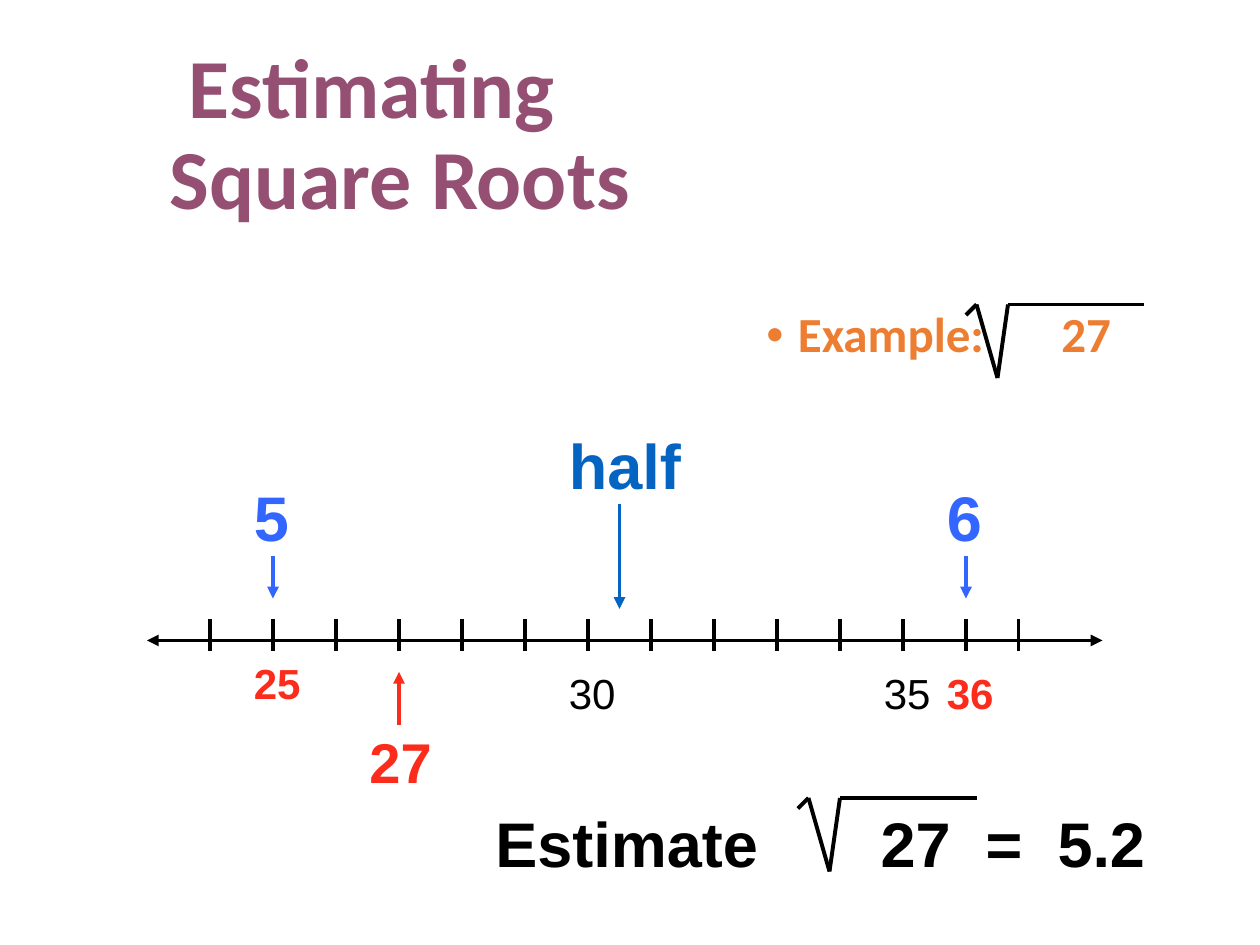
from pptx import Presentation
from pptx.dml.color import RGBColor
from pptx.enum.shapes import MSO_CONNECTOR
from pptx.enum.text import MSO_ANCHOR, MSO_AUTO_SIZE, PP_ALIGN
from pptx.oxml.ns import qn
from pptx.util import Pt
from lxml.etree import SubElement

BLACK = RGBColor(0x00, 0x00, 0x00)
RED = RGBColor(0xFC, 0x2C, 0x1C)
BLUE = RGBColor(0x33, 0x66, 0xFF)
DARK_BLUE = RGBColor(0x05, 0x63, 0xC1)
PLUM = RGBColor(0x95, 0x4F, 0x72)
ORANGE = RGBColor(0xED, 0x7D, 0x31)


class SlideBuilder:
    heading_font = "Calibri"
    label_font = "Arial"
    line_width = Pt(2.25)

    def __init__(self, slide):
        self.s = slide

    def line(self, x1, y1, x2, y2, color=BLACK, ends=()):
        sp = self.s.shapes.add_connector(
            MSO_CONNECTOR.STRAIGHT, Pt(x1), Pt(y1), Pt(x2), Pt(y2))
        sp.line.color.rgb = color
        sp.line.width = self.line_width
        ln = sp.line._get_or_add_ln()
        for end in ends:
            SubElement(ln, qn(f"a:{end}"), type="triangle")
        SubElement(sp._element.spPr, qn("a:effectLst"))

    def arrow(self, x, y1, y2, color):
        self.line(x, y1, x, y2, color, ["tailEnd"])

    def root(self, x, y):
        points = [(x, y + 6), (x + 6, y), (x + 18, y + 42),
                  (x + 24, y), (x + 102, y)]
        for start, end in zip(points, points[1:]):
            self.line(*start, *end)

    def box(self, x, y, w, h, text, size, color, font, bold=True):
        sp = self.s.shapes.add_textbox(Pt(x), Pt(y), Pt(w), Pt(h))
        tf = sp.text_frame
        tf.text = text
        for r in tf.paragraphs[0].runs:
            r.font.size = Pt(size)
            r.font.name = font
            r.font.bold = bold
            r.font.color.rgb = color
        return tf

    def heading(self, x, y, w, h, text, size, color):
        tf = self.box(x, y, w, h, text, size, color, self.heading_font)
        tf.word_wrap = True
        tf.paragraphs[0].line_spacing = 0.9
        return tf

    def label(self, x, y, w, h, text, size, color, bold=True):
        tf = self.box(x, y, w, h, text, size, color, self.label_font, bold)
        tf.word_wrap = False
        tf.auto_size = MSO_AUTO_SIZE.SHAPE_TO_FIT_TEXT
        return tf

    def bullet(self, p):
        p.alignment = PP_ALIGN.RIGHT
        p.space_before = Pt(10)
        pPr = p._p.get_or_add_pPr()
        pPr.set("marL", str(Pt(18)))
        pPr.set("indent", str(-Pt(18)))
        SubElement(pPr, qn("a:buFont"), typeface="Arial")
        SubElement(pPr, qn("a:buChar"), char="•")

    def spaced(self, p, pieces):
        first = p.runs[0]
        for gap, text in pieces:
            for piece, spacing in ((" ", gap), (text, 0)):
                r = p.add_run()
                r.text = piece
                r.font.size = first.font.size
                r.font.name = first.font.name
                r.font.bold = first.font.bold
                r.font.color.rgb = first.font.color.rgb
                r.font._element.set("spc", str(spacing * 100))


def main():
    prs = Presentation()
    prs.slide_width, prs.slide_height = Pt(720), Pt(540)
    s = SlideBuilder(prs.slides.add_slide(prs.slide_layouts[6]))

    title = s.heading(90, 18, 612, 120, " Estimating \vSquare Roots", 48, PLUM)
    title.vertical_anchor = MSO_ANCHOR.MIDDLE

    example = s.heading(66, 174, 576, 72, "Example:", 28, ORANGE).paragraphs[0]
    s.bullet(example)
    s.spaced(example, [(38, "27")])
    s.root(552, 174)

    s.line(84, 366, 630, 366, ends=["headEnd", "tailEnd"])
    for x in [*range(120, 553, 36), 582]:
        s.line(x, 354, x, 372)

    for x, y, text, color, bold in [
        (138, 372, "25", RED, True),
        (318, 378, "30", BLACK, False),
        (498, 378, "35", BLACK, False),
        (534, 378, "36", RED, True),
    ]:
        s.label(x, y, 41, 36, text, 24, color, bold)

    s.label(204, 412, 50, 45, "27", 32, RED)
    s.arrow(228, 414, 384, RED)
    for x, text in [(138, "5"), (534, "6")]:
        s.label(x, 270, 34.5, 50.5, text, 36, BLUE)
        s.arrow(x + 18, 318, 342, BLUE)
    s.label(318, 240, 78.5, 50.5, "half", 36, DARK_BLUE)
    s.arrow(354, 288, 348, DARK_BLUE)

    estimate = s.label(276, 456, 400, 50.5, "Estimate", 36, BLACK)
    estimate.word_wrap = True
    s.spaced(estimate.paragraphs[0], [(60, "27"), (10, "="), (10, "5.2")])
    s.root(456, 456)

    prs.save("out.pptx")


if __name__ == "__main__":
    main()
